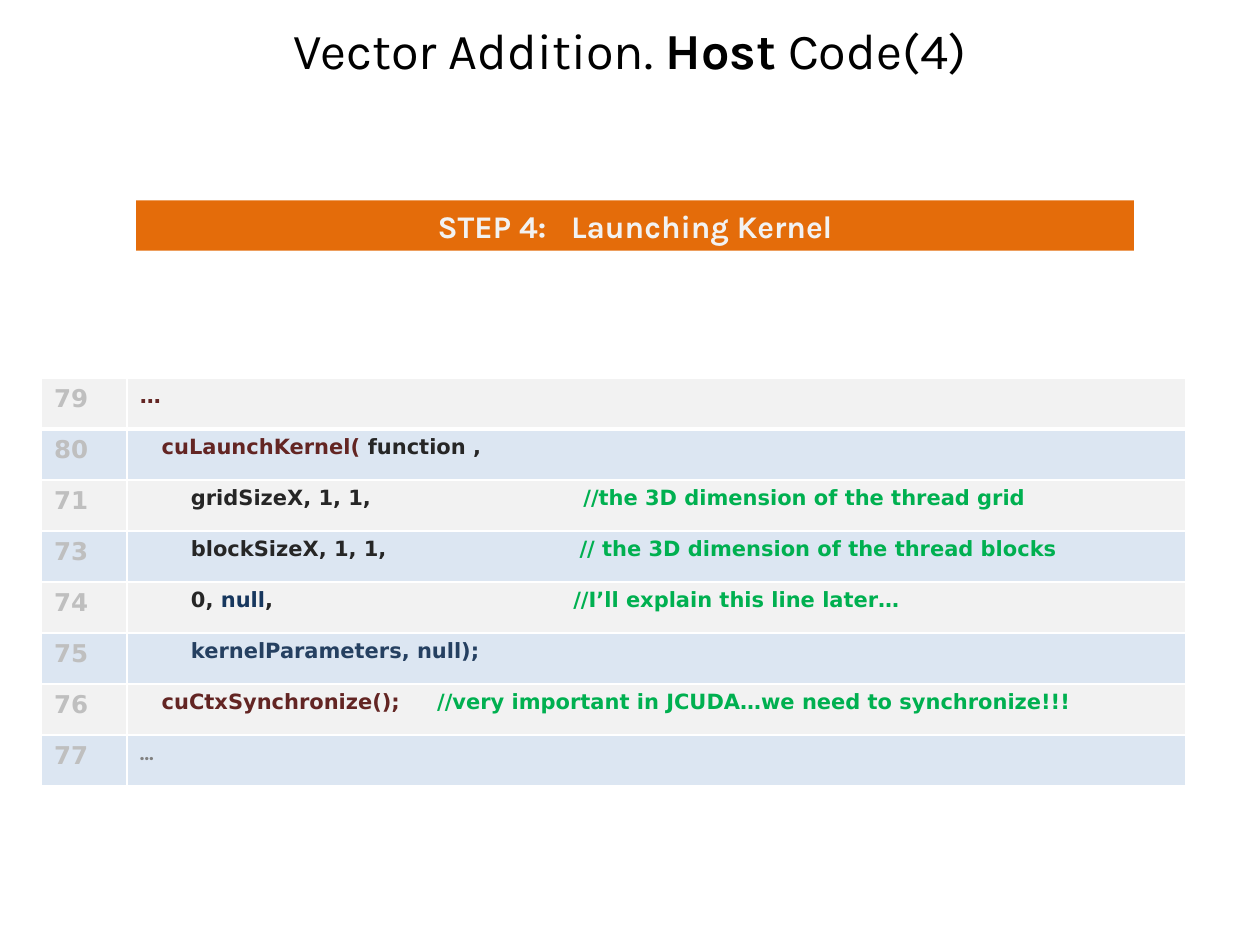
from dataclasses import dataclass

from lxml.etree import SubElement
from pptx import Presentation
from pptx.dml.color import RGBColor
from pptx.enum.shapes import MSO_SHAPE
from pptx.enum.text import MSO_ANCHOR, PP_ALIGN
from pptx.oxml.ns import qn
from pptx.util import Inches, Pt

BLACK = RGBColor(0x00, 0x00, 0x00)
WHITE = RGBColor(0xFF, 0xFF, 0xFF)
ORANGE = RGBColor(0xE4, 0x6C, 0x0A)
LIGHT_GREY = RGBColor(0xF2, 0xF2, 0xF2)
LIGHT_BLUE = RGBColor(0xDC, 0xE6, 0xF2)
NUMBER_GREY = RGBColor(0xBF, 0xBF, 0xBF)
MID_GREY = RGBColor(0x80, 0x80, 0x80)
MAROON = RGBColor(0x63, 0x25, 0x23)
DARK_GREY = RGBColor(0x26, 0x26, 0x26)
NAVY = RGBColor(0x17, 0x37, 0x5E)
STEEL = RGBColor(0x25, 0x40, 0x61)
GREEN = RGBColor(0x00, 0xB0, 0x50)

HEADING_FONT = "Karla"
CODE_FONT = "DejaVu Sans"


@dataclass(frozen=True)
class Piece:
    text: str
    color: RGBColor
    bold: bool = True
    font: str = CODE_FONT


@dataclass(frozen=True)
class CodeLine:
    number: str
    pieces: tuple[Piece, ...]
    comment: str = ""
    comment_left: float = 0


CODE_LINES = (
    CodeLine("79", (Piece("…", MAROON),)),
    CodeLine("80", (Piece("   cuLaunchKernel( ", MAROON), Piece("function ,", DARK_GREY))),
    CodeLine("71", (Piece("       gridSizeX, 1, 1,", DARK_GREY),),
             "//the 3D dimension of the thread grid", 3.52),
    CodeLine("73", (Piece("       blockSizeX, 1, 1,", DARK_GREY),),
             "// the 3D dimension of the thread blocks", 3.49),
    CodeLine("74", (Piece("       0, ", DARK_GREY), Piece("null", NAVY), Piece(",", DARK_GREY)),
             "//I’ll explain this line later…", 3.44),
    CodeLine("75", (Piece("       kernelParameters, null);", STEEL),)),
    CodeLine("76", (Piece("   cuCtxSynchronize();", MAROON),),
             "//very important in JCUDA…we need to synchronize!!!", 2.36),
    CodeLine("77", (Piece("…", MID_GREY, font=HEADING_FONT),)),
)


def add_pieces(para, pieces: tuple[Piece, ...], size: float) -> None:
    for piece in pieces:
        span = para.add_run()
        span.text = piece.text
        span.font.name = piece.font
        span.font.size = Pt(size)
        span.font.bold = piece.bold
        span.font.color.rgb = piece.color


def add_tab_stop(para, left: float) -> None:
    stops = SubElement(para._p.get_or_add_pPr(), qn("a:tabLst"))
    SubElement(stops, qn("a:tab"), pos=str(Inches(left)), algn="l")


def style_cell(cell, fill: RGBColor, top: float, bottom: float) -> None:
    """Fill a cell and draw its white borders, with widths in points."""
    properties = cell._tc.get_or_add_tcPr()
    for side, width in (("L", 1), ("R", 1), ("T", top), ("B", bottom)):
        border = SubElement(properties, qn(f"a:ln{side}"), w=str(Pt(width)))
        paint = SubElement(border, qn("a:solidFill"))
        SubElement(paint, qn("a:srgbClr"), val=str(WHITE))
    cell.fill.solid()
    cell.fill.fore_color.rgb = fill


def add_title(page) -> None:
    box = page.shapes.add_textbox(Inches(0.5), Inches(0.17), Inches(9), Inches(0.45))
    frame = box.text_frame
    frame.word_wrap = True
    frame.vertical_anchor = MSO_ANCHOR.MIDDLE
    para = frame.paragraphs[0]
    para.alignment = PP_ALIGN.CENTER
    add_pieces(para, (
        Piece("Vector Addition. ", BLACK, False, HEADING_FONT),
        Piece("Host", BLACK, True, HEADING_FONT),
        Piece(" Code(4)", BLACK, False, HEADING_FONT),
    ), 28.8)


def add_step_banner(page) -> None:
    banner = page.shapes.add_shape(
        MSO_SHAPE.RECTANGLE, Inches(1.08), Inches(1.59), Inches(7.92), Inches(0.4))
    banner.shadow.inherit = False
    banner.fill.solid()
    banner.fill.fore_color.rgb = ORANGE
    banner.line.fill.background()
    banner.text_frame.word_wrap = True
    para = banner.text_frame.paragraphs[0]
    para.alignment = PP_ALIGN.CENTER
    add_pieces(para, tuple(
        Piece(text, LIGHT_GREY, True, HEADING_FONT)
        for text in ("STEP 4:", " ", "Launching Kernel")), 18)
    # Widen the gap after the step number, in hundredths of a point.
    para.runs[1].font._element.set("spc", "950")


def add_code_table(page) -> None:
    count = len(CODE_LINES)
    table = page.shapes.add_table(
        count, 2, Inches(0.33), Inches(3), Inches(9.08), Inches(3.24)).table
    table.columns[0].width = Inches(0.68)
    table.columns[1].width = Inches(8.4)
    for index, line in enumerate(CODE_LINES):
        fill = LIGHT_BLUE if index % 2 else LIGHT_GREY
        number_cell, code_cell = table.rows[index].cells
        for cell in (number_cell, code_cell):
            style_cell(cell, fill, top=3 if index == 1 else 1, bottom=3 if index == 0 else 1)
        add_pieces(number_cell.text_frame.paragraphs[0], (Piece(line.number, NUMBER_GREY),), 14)
        para = code_cell.text_frame.paragraphs[0]
        pieces = line.pieces
        if line.comment:
            add_tab_stop(para, line.comment_left)
            pieces += (Piece("\t" + line.comment, GREEN),)
        add_pieces(para, pieces, 12)


def main() -> None:
    deck = Presentation()
    deck.slide_width = Inches(10)
    deck.slide_height = Inches(7.5)
    page = deck.slides.add_slide(deck.slide_layouts[6])
    add_title(page)
    add_code_table(page)
    add_step_banner(page)
    deck.save("out.pptx")


if __name__ == "__main__":
    main()
